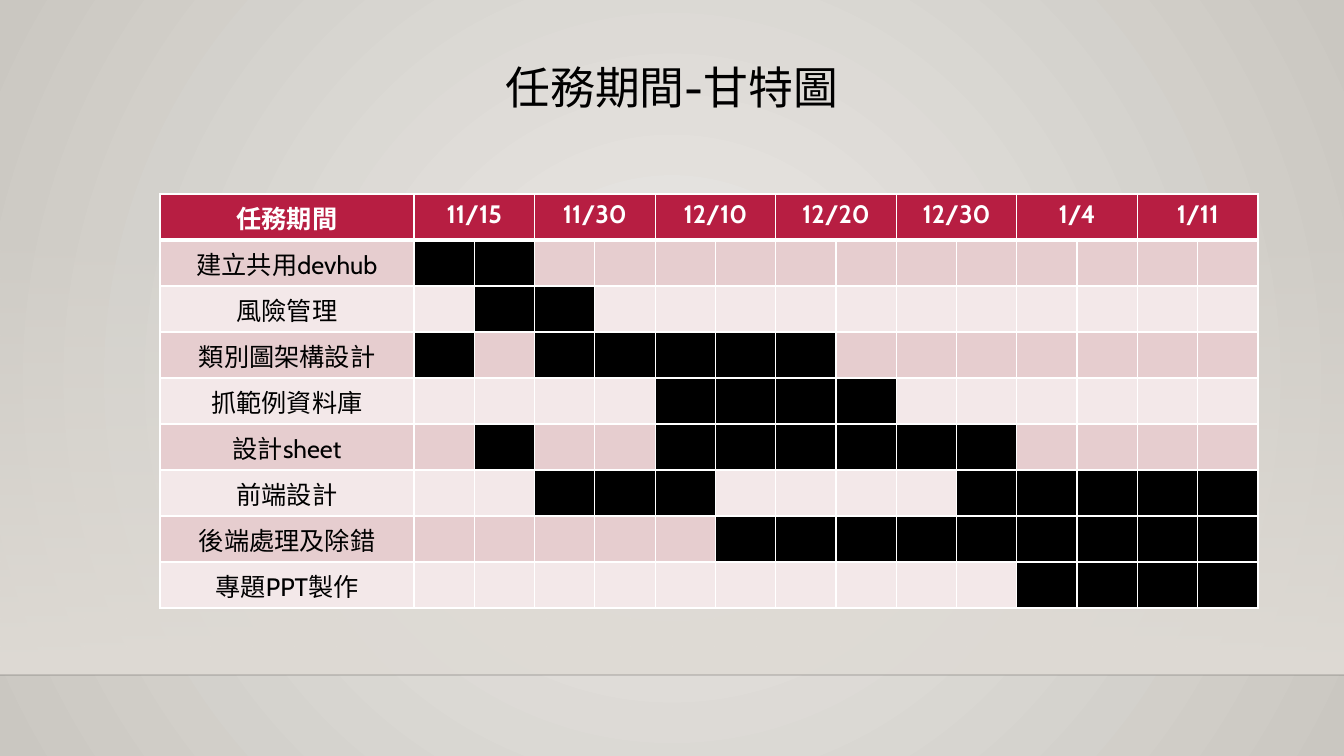
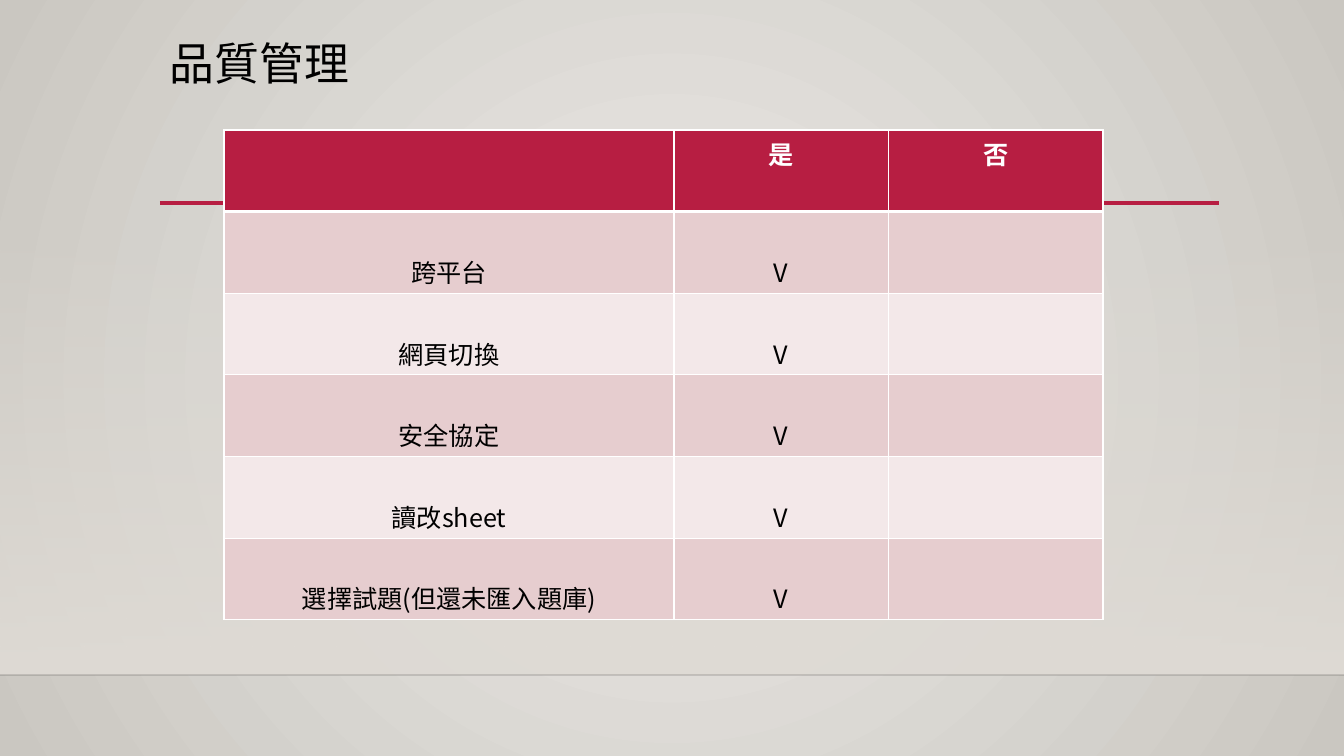
from dataclasses import dataclass

from lxml import etree
from pptx import Presentation
from pptx.dml.color import RGBColor
from pptx.enum.shapes import MSO_CONNECTOR, MSO_SHAPE
from pptx.enum.text import MSO_ANCHOR, PP_ALIGN
from pptx.oxml import parse_xml
from pptx.oxml.ns import nsdecls, qn
from pptx.util import Pt

RECT = MSO_SHAPE.RECTANGLE
STRAIGHT = MSO_CONNECTOR.STRAIGHT
LEFT, CENTER = PP_ALIGN.LEFT, PP_ALIGN.CENTER
TOP = MSO_ANCHOR.TOP

SLIDE_W, SLIDE_H = 1344, 756
EMU_PER_PX = 914400 / 100.8


@dataclass(frozen=True)
class Theme:
    accent: str = "B71E42"
    ink: str = "000000"
    white: str = "FFFFFF"
    bands: tuple = ("E6CDCF", "F3E8E9")
    glow: str = "ECEAE7"
    edge: str = "CAC7C1"
    wall: str = "DFDBD5"
    floor: str = "000001"
    latin: str = "Cabin"
    cjk: str = "Noto Sans CJK JP"
    title_pt: int = 32
    table_pt: int = 18


T = Theme()

PERIODS = ["11/15", "11/30", "12/10", "12/20", "12/30", "1/4", "1/11"]
# Each mark is half a period; # is a busy one
TASKS = [
    ("建立共用devhub", "##............"),
    ("風險管理", ".##..........."),
    ("類別圖架構設計", "#.#####......."),
    ("抓範例資料庫", "....####......"),
    ("設計sheet", ".#..######...."),
    ("前端設計", "..###....#####"),
    ("後端處理及除錯", ".....#########"),
    ("專題PPT製作", "..........####"),
]
CHECKS = ["跨平台", "網頁切換", "安全協定", "讀改sheet", "選擇試題(但還未匯入題庫)"]


def px(n):
    return round(n * EMU_PER_PX)


def rgb(color):
    return RGBColor.from_string(color)


# ---- Shared helpers ----
def swap_gradient(root, stops, direction):
    """Put a gradient in place of the first solid fill under root."""
    gs = "".join(
        f'<a:gs pos="{pos}"><a:srgbClr val="{color}"><a:alpha val="{alpha}"/>'
        "</a:srgbClr></a:gs>" for pos, color, alpha in stops)
    grad = parse_xml(f'<a:gradFill {nsdecls("a")} rotWithShape="1">'
                     f"<a:gsLst>{gs}</a:gsLst>{direction}</a:gradFill>")
    solid = next(root.iter(qn("a:solidFill")))
    solid.getparent().replace(solid, grad)


def add_rule(s, x1, x2, y, color, width, alpha=100):
    line = s.shapes.add_connector(STRAIGHT, px(x1), px(y), px(x2), px(y))
    line.line.color.rgb = rgb(color)
    line.line.width = Pt(width)
    spPr = line.element.spPr
    clr = next(spPr.iter(qn("a:srgbClr")))
    etree.SubElement(clr, qn("a:alpha")).set("val", str(alpha * 1000))
    etree.SubElement(spPr, qn("a:effectLst"))


def style_text(tf, text, size, color, font=T.latin, bold=False,
               align=CENTER, spacing=None):
    tf.text = text
    p = tf.paragraphs[0]
    p.alignment = align
    if spacing:
        p.line_spacing = spacing
    for r in p.runs:
        r.font.name, r.font.size, r.font.bold = font, Pt(size), bold
        r.font.color.rgb = rgb(color)
        ea = etree.SubElement(r.font._element, qn("a:ea"))
        ea.set("typeface", T.cjk)


def border_cell(cell, top=1, bottom=1):
    tcPr = cell._tc.get_or_add_tcPr()
    sides = (("lnL", 1), ("lnR", 1), ("lnT", top), ("lnB", bottom))
    for i, (side, width) in enumerate(sides):
        tcPr.insert(i, parse_xml(
            f'<a:{side} {nsdecls("a")} w="{Pt(width)}"><a:solidFill>'
            f'<a:srgbClr val="{T.white}"/></a:solidFill></a:{side}>'))


def add_grid(s, box, rows, label_w, font, body_spacing=None):
    """Table with a wide first column, a header row and banded body rows."""
    x, y, w, h = box
    n_rows, n_cols = len(rows), len(rows[0])
    table = s.shapes.add_table(n_rows, n_cols, px(x), px(y), px(w), px(h)).table
    for c, col in enumerate(table.columns):
        col.width = px((w - label_w) / (n_cols - 1)) if c else px(label_w)
    for i, texts in enumerate(rows):
        table.rows[i].height = px(h / n_rows)
        head = i == 0
        for c, text in enumerate(texts):
            cell = table.cell(i, c)
            cell.fill.solid()
            cell.fill.fore_color.rgb = rgb(
                T.accent if head else T.bands[(i - 1) % 2])
            border_cell(cell, 3 if i == 1 else 1, 3 if head else 1)
            if text:
                style_text(cell.text_frame, text, T.table_pt,
                           T.white if head else T.ink, font, head,
                           spacing=None if head else body_spacing)
    return table


# ---- Regions ----
def add_backdrop(s):
    # Radial background
    s.background.fill.solid()
    swap_gradient(
        s.element, [(0, T.glow, 100000), (100000, T.edge, 100000)],
        '<a:path path="circle"><a:fillToRect l="50000" t="50000" '
        'r="50000" b="50000"/></a:path>')
    # Wall fading in towards the floor line
    wall = s.shapes.add_shape(RECT, 0, px(223), px(SLIDE_W), px(452))
    wall.shadow.inherit = False
    wall.line.fill.background()
    wall.fill.solid()
    swap_gradient(wall.element, [(0, T.wall, 0), (100000, T.wall, 100000)],
                  '<a:lin ang="5400000" scaled="0"/>')
    add_rule(s, 0, SLIDE_W, 675, T.floor, 1, alpha=20)
    # Title underline
    add_rule(s, 160, 1219, 203, T.accent, 2.5)


def add_title(s, box, text, align):
    tb = s.shapes.add_textbox(*map(px, box))
    tf = tb.text_frame
    tf.word_wrap = True
    tf.vertical_anchor = TOP
    style_text(tf, text, T.title_pt, T.ink, align=align, spacing=0.9)


def add_gantt(s, box):
    header = ["任務期間"]
    for period in PERIODS:
        header += [period, ""]
    rows = [header] + [[task] + [""] * len(marks) for task, marks in TASKS]
    table = add_grid(s, box, rows, 254, T.latin)
    for c in range(1, len(header), 2):
        table.cell(0, c).merge(table.cell(0, c + 1))
    for i, (_, marks) in enumerate(TASKS, 1):
        for c, mark in enumerate(marks, 1):
            if mark == "#":
                table.cell(i, c).fill.fore_color.rgb = rgb(T.ink)


def add_checklist(s, box):
    rows = [["", "是", "否"]] + [[check, "V", ""] for check in CHECKS]
    add_grid(s, box, rows, 450, T.cjk, body_spacing=2.0)


# ---- Slides ----
def new_slide(prs):
    s = prs.slides.add_slide(prs.slide_layouts[6])
    add_backdrop(s)
    return s


def gantt_slide(prs):
    s = new_slide(prs)
    add_title(s, (143, 61, 1058, 116), "任務期間-甘特圖", CENTER)
    add_gantt(s, (160, 194, 1098, 414))


def quality_slide(prs):
    s = new_slide(prs)
    add_title(s, (160, 37, 1058, 116), "品質管理", LEFT)
    add_checklist(s, (224, 130, 879, 490))


def main():
    prs = Presentation()
    prs.slide_width, prs.slide_height = px(SLIDE_W), px(SLIDE_H)
    gantt_slide(prs)
    quality_slide(prs)
    prs.save("out.pptx")


if __name__ == "__main__":
    main()
